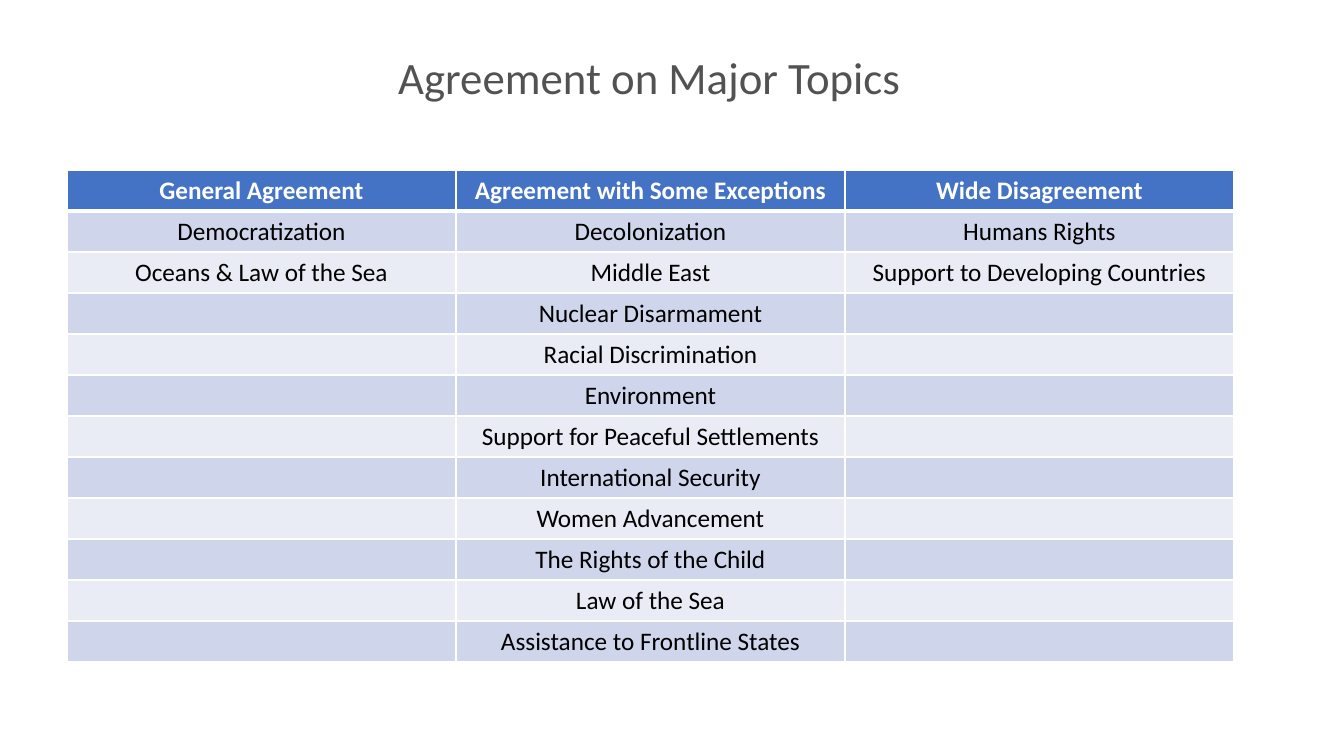
from itertools import zip_longest

from lxml.etree import SubElement
from pptx import Presentation
from pptx.dml.color import RGBColor
from pptx.enum.text import MSO_ANCHOR, MSO_AUTO_SIZE, PP_ALIGN
from pptx.oxml.ns import qn
from pptx.util import Emu, Pt

TITLE = "Agreement on Major Topics"
TOPICS = {
    "General Agreement": ["Democratization", "Oceans & Law of the Sea"],
    "Agreement with Some Exceptions": [
        "Decolonization", "Middle East", "Nuclear Disarmament",
        "Racial Discrimination", "Environment",
        "Support for Peaceful Settlements", "International Security",
        "Women Advancement", "The Rights of the Child", "Law of the Sea",
        "Assistance to Frontline States",
    ],
    "Wide Disagreement": ["Humans Rights", "Support to Developing Countries"],
}
FONT = "Calibri"
WHITE, BLACK, GREY = "FFFFFF", "000000", "525252"
HEADER_FILL, BANDS = "4472C4", ("CFD5EA", "E9EBF5")
SLIDE_W, SLIDE_H = 1344, 756
TITLE_BOX = (39, 45, 1221, 64)
TABLE_LEFT, TABLE_TOP, COL_W, ROW_H = 67, 170, 389, 41


def px(n):
    return Emu(round(n * 914400 / 100.8))


def color(value):
    return RGBColor.from_string(value)


def write(tf, text, size, fill, bold=False):
    p = tf.paragraphs[0]
    p.alignment = PP_ALIGN.CENTER
    r = p.add_run()
    r.text = text
    r.font.name, r.font.size, r.font.bold = FONT, Pt(size), bold
    r.font.color.rgb = color(fill)


def add_borders(cell, top, bottom):
    for side, width in (("L", 1), ("R", 1), ("T", top), ("B", bottom)):
        ln = SubElement(cell._tc.get_or_add_tcPr(), qn(f"a:ln{side}"), w=str(Pt(width)))
        SubElement(SubElement(ln, qn("a:solidFill")), qn("a:srgbClr"), val=WHITE)


def add_title(s):
    sp = s.shapes.title
    sp.left, sp.top, sp.width, sp.height = map(px, TITLE_BOX)
    tf = sp.text_frame
    tf.word_wrap = True
    tf.auto_size = MSO_AUTO_SIZE.NONE
    tf.vertical_anchor = MSO_ANCHOR.TOP
    write(tf, TITLE, 32, GREY)


def add_topics(s):
    rows = [tuple(TOPICS), *zip_longest(*TOPICS.values(), fillvalue="")]
    n_rows, n_cols = len(rows), len(TOPICS)
    table = s.shapes.add_table(n_rows, n_cols, px(TABLE_LEFT), px(TABLE_TOP),
                               px(n_cols * COL_W), px(n_rows * ROW_H)).table
    for column in table.columns:
        column.width = px(COL_W)
    for i, texts in enumerate(rows):
        table.rows[i].height = px(ROW_H)
        header = i == 0
        for j, text in enumerate(texts):
            cell = table.cell(i, j)
            add_borders(cell, 3 if i == 1 else 1, 3 if header else 1)
            cell.fill.solid()
            cell.fill.fore_color.rgb = color(HEADER_FILL if header else BANDS[(i - 1) % 2])
            cell.vertical_anchor = MSO_ANCHOR.MIDDLE
            if text:
                write(cell.text_frame, text, 18, WHITE if header else BLACK, header)


def main():
    """Build the slide of topics grouped by level of agreement."""
    prs = Presentation()
    prs.slide_width, prs.slide_height = px(SLIDE_W), px(SLIDE_H)
    s = prs.slides.add_slide(prs.slide_layouts[5])
    add_topics(s)
    add_title(s)
    prs.save("out.pptx")


if __name__ == "__main__":
    main()
